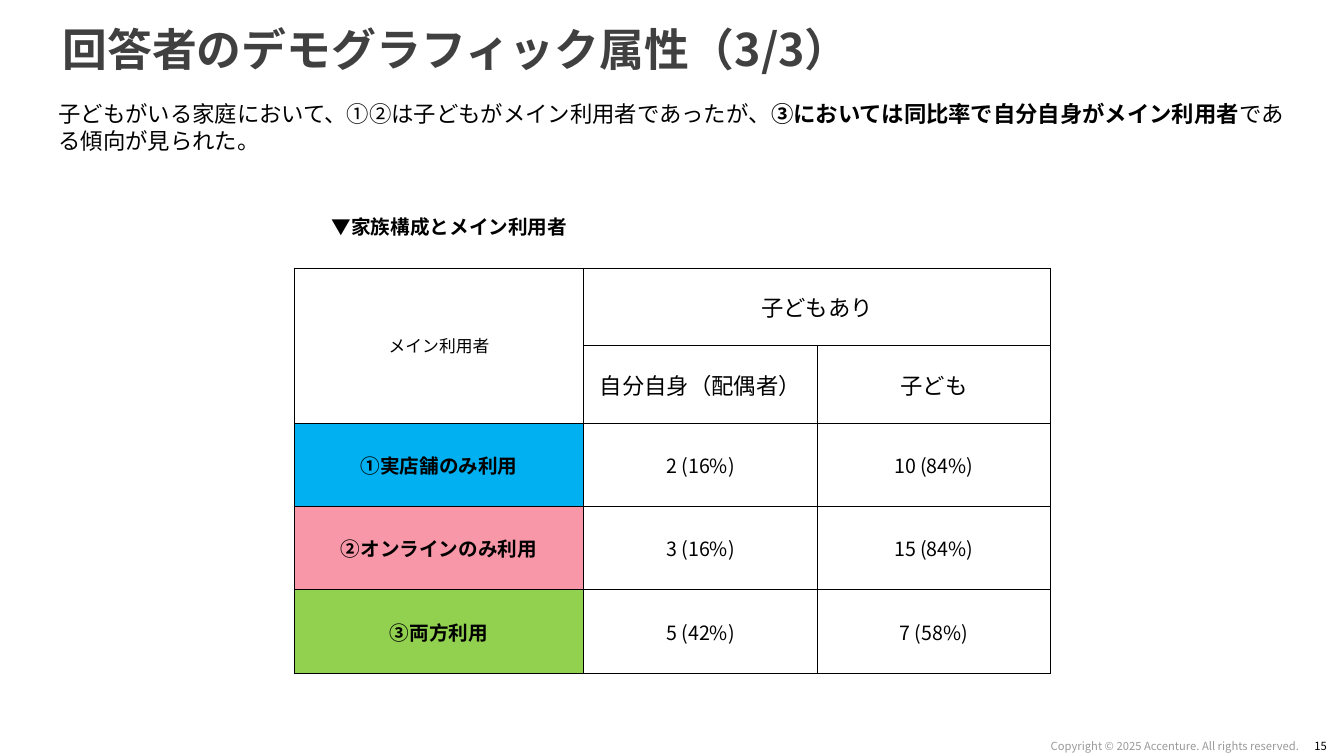
from lxml.etree import SubElement
from pptx import Presentation
from pptx.dml.color import RGBColor
from pptx.enum.text import MSO_ANCHOR, MSO_AUTO_SIZE, PP_ALIGN
from pptx.oxml.ns import qn
from pptx.util import Inches, Pt

FONT = "Noto Sans CJK JP"
COLORS = {
    "text": "000000",
    "title": "404040",
    "border": "000000",
    "store": "00B0F0",
    "online": "F797A7",
    "both": "92D050",
}
LEAD = [
    ("子どもがいる家庭において、①②は子どもがメイン利用者であったが、", False),
    ("③においては同比率で自分自身がメイン利用者", True),
    ("である傾向が見られた。", False),
]
USAGE = [
    ("store", "①実店舗のみ利用", "2 (16%)", "10 (84%)"),
    ("online", "②オンラインのみ利用", "3 (16%)", "15 (84%)"),
    ("both", "③両方利用", "5 (42%)", "7 (58%)"),
]


def style(p, size, bold=False, color="text", align=PP_ALIGN.LEFT, spacing=1.0, alpha=None):
    """Format a whole paragraph, for Latin and East Asian text alike."""
    p.alignment = align
    p.line_spacing = spacing
    p.space_before = Pt(0)
    p.font.size = Pt(size)
    p.font.bold = bold
    p.font.color.rgb = RGBColor.from_string(COLORS[color])
    p.font.name = FONT
    props = p._p.get_or_add_pPr().find(qn("a:defRPr"))
    SubElement(props, qn("a:ea"), typeface=FONT)
    if alpha:
        SubElement(props.find(".//" + qn("a:srgbClr")), qn("a:alpha"), val=str(alpha * 1000))


def place(sp, box, margins=(0.1, 0.05, 0.1, 0.05), anchor=MSO_ANCHOR.TOP):
    """Move a text shape into a box and return its text frame."""
    sp.left, sp.top, sp.width, sp.height = map(Inches, box)
    tf = sp.text_frame
    tf.word_wrap = True
    tf.auto_size = MSO_AUTO_SIZE.NONE
    tf.vertical_anchor = anchor
    tf.margin_left, tf.margin_top, tf.margin_right, tf.margin_bottom = map(Inches, margins)
    return tf


def add_text(s, box, text, margins=(0.1, 0.05, 0.1, 0.05), **fmt):
    """Add a one-paragraph text box."""
    tf = place(s.shapes.add_textbox(*map(Inches, box)), box, margins)
    tf.text = text
    style(tf.paragraphs[0], **fmt)


def add_heading(s, box):
    """Fill the title and, below it, the lead sentence."""
    x, y, w, h = box
    tf = place(s.shapes.title, (x, y, w, 0.55), anchor=MSO_ANCHOR.MIDDLE)
    tf.text = "回答者のデモグラフィック属性（3/3）"
    style(tf.paragraphs[0], 32, bold=True, color="title", spacing=0.9)

    tf = place(s.placeholders[1], (x, y + 0.75, w, h - 0.75), (0, 0, 0, 0))
    p = tf.paragraphs[0]
    props = p._p.get_or_add_pPr()
    props.set("marL", str(Inches(0.06)))
    props.set("indent", "0")
    SubElement(props, qn("a:buNone"))
    for text, bold in LEAD:
        r = p.add_run()
        r.text = text
        r.font.bold = bold
    style(p, 16)


def add_borders(cell):
    """Draw a thin line on all four sides of a cell."""
    props = cell._tc.get_or_add_tcPr()
    for side in ("lnL", "lnR", "lnT", "lnB"):
        ln = SubElement(props, qn(f"a:{side}"), w=str(Pt(1)))
        fill = SubElement(ln, qn("a:solidFill"))
        SubElement(fill, qn("a:srgbClr"), val=COLORS["border"])


def fill_cell(cell, text, size, bold=False):
    """Write centred text into a cell."""
    cell.text = text
    cell.vertical_anchor = MSO_ANCHOR.MIDDLE
    style(cell.text_frame.paragraphs[0], size, bold, align=PP_ALIGN.CENTER)


def add_usage_table(s, box):
    """Build the table of main users by way of shopping."""
    x, y, w, h = box
    table = s.shapes.add_table(len(USAGE) + 2, 3, *map(Inches, box)).table
    table.first_row = table.horz_banding = False
    label_w, head_h = 2.87, 0.77
    for i, col in enumerate(table.columns):
        col.width = Inches(label_w if i == 0 else (w - label_w) / 2)
    for i, row in enumerate(table.rows):
        row.height = Inches(head_h if i < 2 else (h - 2 * head_h) / len(USAGE))
    for cell in table.iter_cells():
        add_borders(cell)
        cell.fill.background()

    table.cell(0, 0).merge(table.cell(1, 0))
    table.cell(0, 1).merge(table.cell(0, 2))
    fill_cell(table.cell(0, 0), "メイン利用者", 12)
    fill_cell(table.cell(0, 1), "子どもあり", 16)
    fill_cell(table.cell(1, 1), "自分自身（配偶者）", 16)
    fill_cell(table.cell(1, 2), "子ども", 16)
    for i, (color, *texts) in enumerate(USAGE, start=2):
        for j, text in enumerate(texts):
            fill_cell(table.cell(i, j), text, 14, bold=j == 0)
        label = table.cell(i, 0)
        label.fill.solid()
        label.fill.fore_color.rgb = RGBColor.from_string(COLORS[color])


def add_footer(s, box):
    """Place the copyright line and the page number side by side."""
    x, y, w, h = box
    number_w = 0.27
    add_text(s, (x, y, w - number_w, h), "Copyright © 2025 Accenture. All rights reserved.",
             (0, 0, 0, 0), size=8, align=PP_ALIGN.RIGHT, alpha=40)
    add_text(s, (x + w - number_w, y, number_w, h), "15",
             (0.08, 0, 0, 0), size=8, align=PP_ALIGN.RIGHT)


def main():
    """Build the slide and save it."""
    prs = Presentation()
    prs.slide_width, prs.slide_height = Inches(13.33), Inches(7.5)
    s = prs.slides.add_slide(prs.slide_layouts[1])
    add_heading(s, (0.52, 0.24, 12.28, 1.56))
    add_text(s, (3.19, 2.01, 6.95, 0.37), "▼家族構成とメイン利用者",
             size=14, bold=True, spacing=1.3)
    add_usage_table(s, (2.92, 2.66, 7.5, 4.02))
    add_footer(s, (9.41, 7.33, 3.75, 0.14))
    prs.save("out.pptx")


if __name__ == "__main__":
    main()
